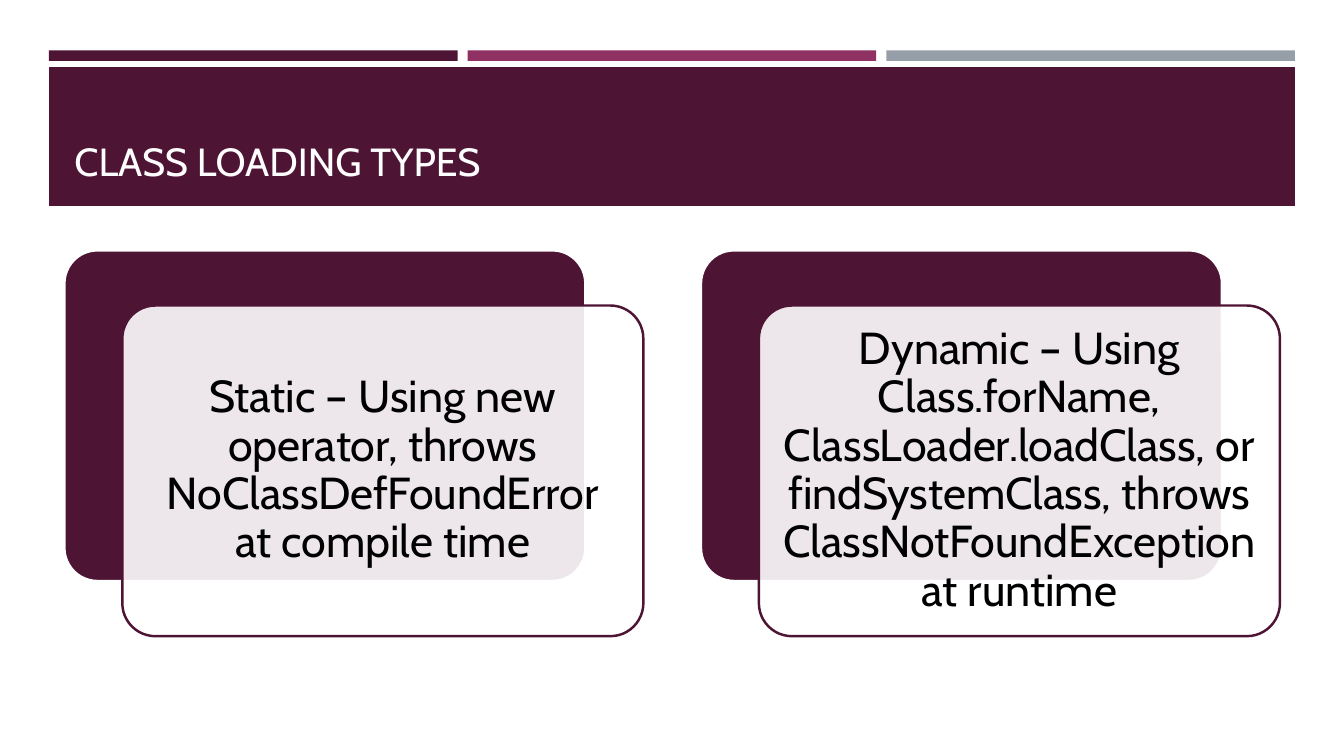
import pptx
import pptx.dml.color
import pptx.enum.shapes
import pptx.enum.text
import pptx.oxml
import pptx.oxml.ns
import pptx.util

Pt = pptx.util.Pt
SHAPE = pptx.enum.shapes.MSO_SHAPE
ALIGN = pptx.enum.text.PP_ALIGN
ANCHOR = pptx.enum.text.MSO_ANCHOR
PLUM, MAGENTA, GREY = "4D1434", "903163", "969FA7"
WHITE, BLACK, TITLE_WHITE = "FFFFFF", "000000", "FFFEFF"


def paint(target, colour):
    """Give a fill, line or font colour its hex colour."""
    if hasattr(target, "solid"):
        target.solid()
        target.fore_color.rgb = pptx.dml.color.RGBColor.from_string(colour)
    else:
        target.color.rgb = pptx.dml.color.RGBColor.from_string(colour)


def write(shape, text, size, colour, align, anchor, margins, spacing=1.0):
    """Set and format the text of a shape."""
    frame = shape.text_frame
    frame.word_wrap = True
    frame.auto_size = pptx.enum.text.MSO_AUTO_SIZE.NONE
    frame.vertical_anchor = anchor
    frame.margin_left = frame.margin_right = Pt(margins[0])
    frame.margin_top = frame.margin_bottom = Pt(margins[1])
    paragraph = frame.paragraphs[0]
    paragraph.alignment = align
    paragraph.line_spacing = spacing
    run = paragraph.add_run()
    run.text = text
    run.font.name = "Cabin"
    run.font.size = Pt(size)
    paint(run.font, colour)


def block(slide, kind, box, fill, outline=None, opacity=None):
    """Add a filled preset shape, optionally outlined and translucent."""
    shape = slide.shapes.add_shape(kind, *map(Pt, box))
    shape.shadow.inherit = False
    paint(shape.fill, fill)
    if outline:
        paint(shape.line, outline)
        shape.line.width = Pt(1.75)
    else:
        shape.line.fill.background()
    if opacity:
        colour = shape.element.spPr.find(".//" + pptx.oxml.ns.qn("a:srgbClr"))
        colour.append(pptx.oxml.parse_xml(
            f'<a:alpha {pptx.oxml.ns.nsdecls("a")} val="{opacity * 1000}"/>'))
    return shape


def header(slide, box, title):
    """Draw three accent bars above a band that holds the title."""
    left, top, width, height = box
    gap = 7.2
    bar_width = (width - 2 * gap) / 3
    for index, colour in enumerate((PLUM, MAGENTA, GREY)):
        bar_left = left + index * (bar_width + gap)
        block(slide, SHAPE.RECTANGLE, (bar_left, top, bar_width, 7.6), colour)
    block(slide, SHAPE.RECTANGLE, (left, top + 12, width, height - 12), PLUM)
    heading = slide.shapes.title
    heading.left, heading.top = Pt(left + 11), Pt(top + 19.5)
    heading.width, heading.height = Pt(width - 22), Pt(80)
    slide.shapes.element.append(heading.element)
    write(heading, title, size=28, colour=TITLE_WHITE, align=ALIGN.LEFT,
          anchor=ANCHOR.BOTTOM, margins=(7.2, 3.6))


def loading_card(slide, box, description):
    """Draw a translucent text card over a plum backing card."""
    left, top, width, height = box
    shift_x, shift_y = 41.4, 39.4
    size = (width - shift_x, height - shift_y)
    backing = block(slide, SHAPE.ROUNDED_RECTANGLE, (left, top, *size),
                    PLUM, outline=WHITE)
    card = block(slide, SHAPE.ROUNDED_RECTANGLE,
                 (left + shift_x, top + shift_y, *size),
                 WHITE, outline=PLUM, opacity=90)
    backing.adjustments[0] = card.adjustments[0] = 0.1
    write(card, description, size=32, colour=BLACK, align=ALIGN.CENTER,
          anchor=ANCHOR.MIDDLE, margins=(9.6, 9.6), spacing=0.9)


def main():
    """Build and save the class loading slide."""
    deck = pptx.Presentation()
    deck.slide_width, deck.slide_height = Pt(960), Pt(540)
    slide = deck.slides.add_slide(deck.slide_layouts.get_by_name("Title Only"))
    header(slide, (35, 36, 890, 111), "CLASS LOADING TYPES")
    loading_types = (
        "Static – Using new operator, throws NoClassDefFoundError at compile time",
        "Dynamic – Using Class.forName, ClassLoader.loadClass, or "
        "findSystemClass, throws ClassNotFoundException at runtime",
    )
    for index, description in enumerate(loading_types):
        loading_card(slide, (46 + index * 454.7, 178.8, 413.6, 275.6), description)
    deck.save("out.pptx")


main()
